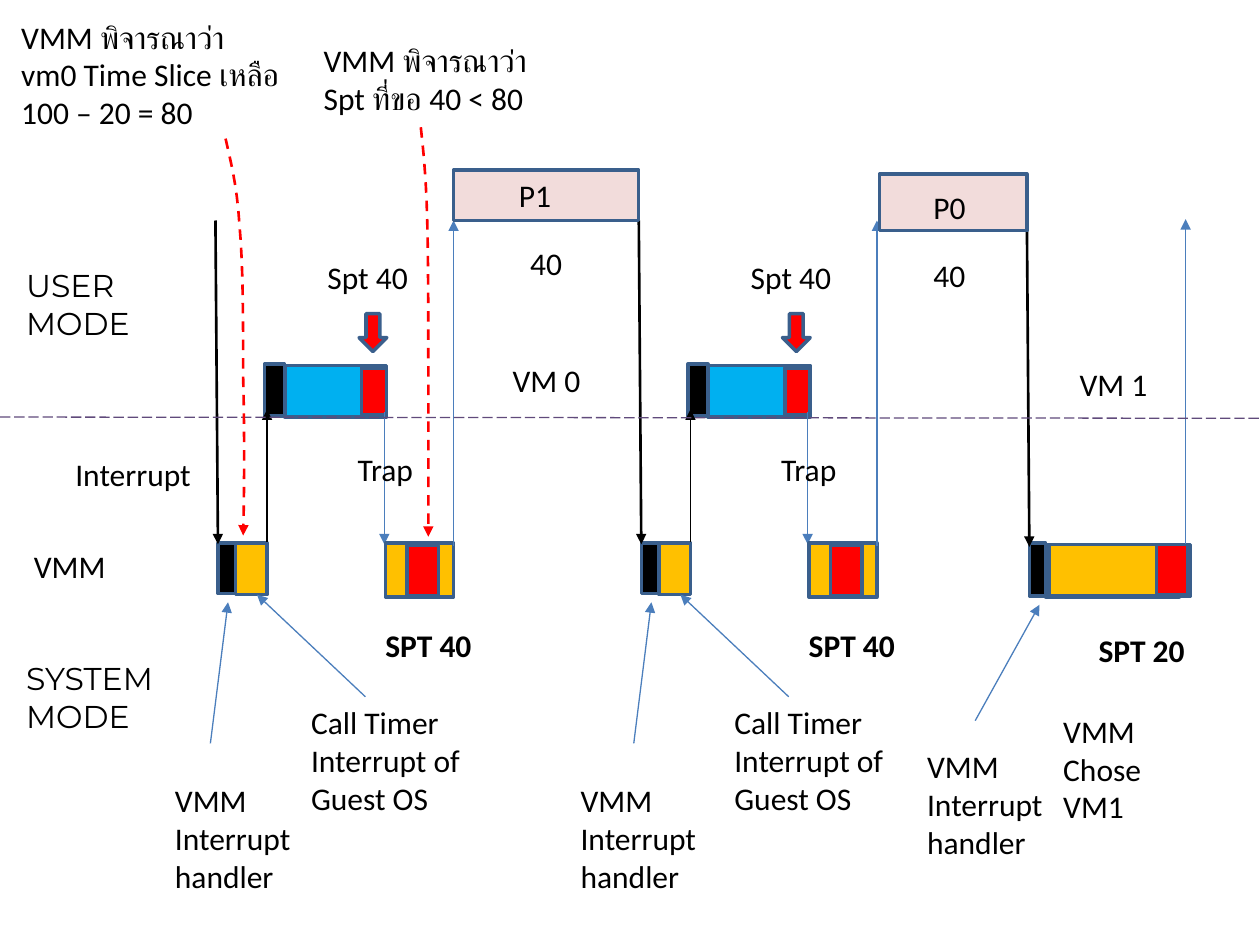
from lxml.etree import SubElement
from pptx import Presentation
from pptx.dml.color import RGBColor
from pptx.enum.dml import MSO_LINE as Dash
from pptx.enum.shapes import MSO_CONNECTOR as Link, MSO_SHAPE as Kind
from pptx.enum.text import MSO_ANCHOR as Anchor, MSO_AUTO_SIZE as Fit, PP_ALIGN as Align
from pptx.oxml.ns import qn
from pptx.util import Inches, Pt

WIDE, HIGH = Inches(10), Inches(7.5)
COL, ROW = WIDE / 100, HIGH / 75      # the slide is a grid of 100 x 75 cells
CYCLE = 33.6                          # columns from one timer cycle to the next
BLACK, WHITE, RED = "000000", "FFFFFF", "FF0000"
GOLD, SKY, PINK = "FFC000", "00B0F0", "F2DCDB"
EDGE, BLUE, PLUM = "3A5F8C", "4B7EBC", "604A7B"


def tint(code):
    return RGBColor.from_string(code)


def cells(*nums):
    """Turn alternating columns and rows into lengths."""
    return [round(n * (ROW if i % 2 else COL)) for i, n in enumerate(nums)]


def stroke(shape, color, width, dash=None, head=False):
    line = shape.line
    line.color.rgb = tint(color)
    line.width = Pt(width)
    if dash:
        line.dash_style = dash
    if head:
        ln = shape._element.spPr.find(qn("a:ln"))
        SubElement(ln, qn("a:tailEnd"), type="triangle")


def block(page, x, y, w, h, fill, kind=Kind.RECTANGLE):
    shape = page.shapes.add_shape(kind, *cells(x, y, w, h))
    shape.shadow.inherit = False
    shape.fill.solid()
    shape.fill.fore_color.rgb = tint(fill)
    stroke(shape, EDGE, 2)


def label(page, text, x, y, w, font="Calibri", bold=False, wrap=False, fill=None):
    rows = text.split("\n")
    box = page.shapes.add_textbox(*cells(x, y, w, 1 + 3.03 * len(rows)))
    if fill:
        box.fill.solid()
        box.fill.fore_color.rgb = tint(fill)
    frame = box.text_frame
    frame.word_wrap = wrap
    frame.auto_size = Fit.SHAPE_TO_FIT_TEXT
    frame.vertical_anchor = Anchor.TOP
    for i, row in enumerate(rows):
        para = frame.add_paragraph() if i else frame.paragraphs[0]
        para.alignment = Align.LEFT
        run = para.add_run()
        run.text = row
        run.font.name, run.font.size, run.font.bold = font, Pt(18), bold
        run.font.color.rgb = tint(BLACK)


def arrow(page, x1, y1, x2, y2, color=BLUE, width=0.75, dash=None, head=True):
    line = page.shapes.add_connector(Link.STRAIGHT, *cells(x1, y1, x2, y2))
    stroke(line, color, width, dash, head)
    SubElement(line._element.spPr, qn("a:effectLst"))


def curve(page, start, *bends, steps=8):
    """Dashed red arrow along joined cubic curves."""
    dots, last = [], start
    for bend in bends:
        knots = (last, *bend)
        for i in range(1, steps + 1):
            t = i / steps
            parts = ((1 - t) ** 3, 3 * t * (1 - t) ** 2, 3 * t * t * (1 - t), t ** 3)
            dots.append(cells(*(sum(p * k[a] for p, k in zip(parts, knots))
                                for a in (0, 1))))
        last = bend[-1]
    path = page.shapes.build_freeform(*cells(*start))
    path.add_line_segments(dots, close=False)
    shape = path.convert_to_shape()
    shape.shadow.inherit = False
    shape.fill.background()
    stroke(shape, RED, 1.5, Dash.DASH, head=True)


def cycle(page, x):
    """One timer interrupt, guest run and trap, moved right by x columns."""
    # Interrupt handling in the VMM
    block(page, x + 17.3, 43.1, 1.4, 4, BLACK)
    block(page, x + 18.7, 43.1, 2.5, 4.1, GOLD)
    # Guest system in user mode
    block(page, x + 21, 28.9, 1.6, 4.1, BLACK)
    block(page, x + 22.6, 29, 8.1, 4.1, SKY)
    arrow(page, x + 21.2, 43, x + 21.2, 32.5, BLACK)
    arrow(page, x + 17.1, 17.5, x + 17.3, 43.2, BLACK, 1.5)
    # Pointers to the handlers
    arrow(page, x + 16.7, 59, x + 18.1, 47.8)
    label(page, "Call Timer\nInterrupt of\nGuest OS", x + 23.7, 55.3, 14.5)
    arrow(page, x + 29, 55.3, x + 20.4, 47.2)
    # Timer request and its trap
    block(page, x + 28.7, 29.2, 2, 3.7, RED)
    label(page, "Spt 40", x + 25, 20, 8.5)
    block(page, x + 28.5, 24.9, 2.2, 3, RED, Kind.DOWN_ARROW)
    arrow(page, x + 30.5, 32.7, x + 30.5, 43.2)
    block(page, x + 30.6, 43.1, 5.4, 4.3, GOLD)
    label(page, "Trap", x + 27.4, 35.2, 6.5)
    block(page, x + 32.3, 43.3, 2.5, 4, RED)
    arrow(page, x + 36, 43.3, x + 36, 17.5)
    label(page, "SPT 40", x + 29.6, 49.2, 8.9, bold=True)


def switch(page):
    """Last interrupt, where the VMM changes to the other machine."""
    block(page, 81.7, 43.1, 1.3, 4.2, BLACK)
    block(page, 83, 43.2, 10.6, 4.2, GOLD)
    arrow(page, 81.5, 17.7, 81.7, 43.4, BLACK, 1.5)
    arrow(page, 77.4, 57.2, 82.5, 48)
    label(page, "VMM\nChose\nVM1", 83.4, 56, 8.3)
    block(page, 83.3, 43.2, 11.2, 4.1, GOLD)
    block(page, 91.8, 43.2, 2.5, 4, RED)
    label(page, "SPT 20", 86.2, 49.6, 9.5, bold=True)
    arrow(page, 94.1, 43.2, 94.1, 17.4)


def main():
    deck = Presentation()
    deck.slide_width, deck.slide_height = WIDE, HIGH
    page = deck.slides.add_slide(deck.slide_layouts[6])

    for turn in range(2):
        cycle(page, turn * CYCLE)
    switch(page)
    for x, y in ((12.9, 61.5), (45.1, 61.5), (72.6, 58.8)):
        label(page, "VMM\nInterrupt\nhandler", x, y, 11.3)

    # User processes and their run times
    block(page, 36, 13.5, 14.7, 4, PINK)
    block(page, 69.8, 13.8, 11.7, 4.5, PINK)
    label(page, "P1", 40.2, 13.5, 6.5, wrap=True)
    label(page, "P0", 73.1, 14.4, 6.5, wrap=True)
    label(page, "40", 41.1, 18.9, 4.6)
    label(page, "40", 73.1, 19.8, 4.6)

    # Border between the modes, with names
    arrow(page, 0, 33.1, 100, 33.2, PLUM, dash=Dash.LONG_DASH, head=False)
    label(page, "USER\nMODE", 1.1, 20.6, 10.6, font="Montserrat")
    label(page, "SYSTEM\nMODE", 1.1, 51.8, 14.4, font="Montserrat")
    label(page, "VMM", 1.7, 42.9, 7.8)
    label(page, "Interrupt", 5, 35.6, 11.3)
    label(page, "VM 0", 39.7, 28.2, 7.5)
    label(page, "VM 1", 84.7, 28.5, 7.5)

    # Decisions of the VMM
    label(page, "VMM พิจารณาว่า\nvm0 Time Slice เหลือ\n100 – 20 = 80",
          0.7, 0.9, 25, wrap=True, fill=WHITE)
    curve(page, (17.9, 11), ((18.3, 12.8), (18.8, 14.6), (19, 17.8)),
          ((19.3, 20.9), (19.3, 25.9), (19.3, 30)),
          ((19.4, 34.1), (19.4, 38.3), (19.3, 42.5)))
    label(page, "VMM พิจารณาว่า\nSpt ที่ขอ 40 < 80",
          24.7, 2.8, 22.6, wrap=True, fill=WHITE)
    curve(page, (33.4, 10.1), ((33.6, 11.9), (33.8, 13.8), (33.9, 17.1)),
          ((34, 20.3), (34, 25.5), (34, 29.7)),
          ((34, 34), (34, 38.3), (34, 42.6)))
    deck.save("out.pptx")


if __name__ == "__main__":
    main()
